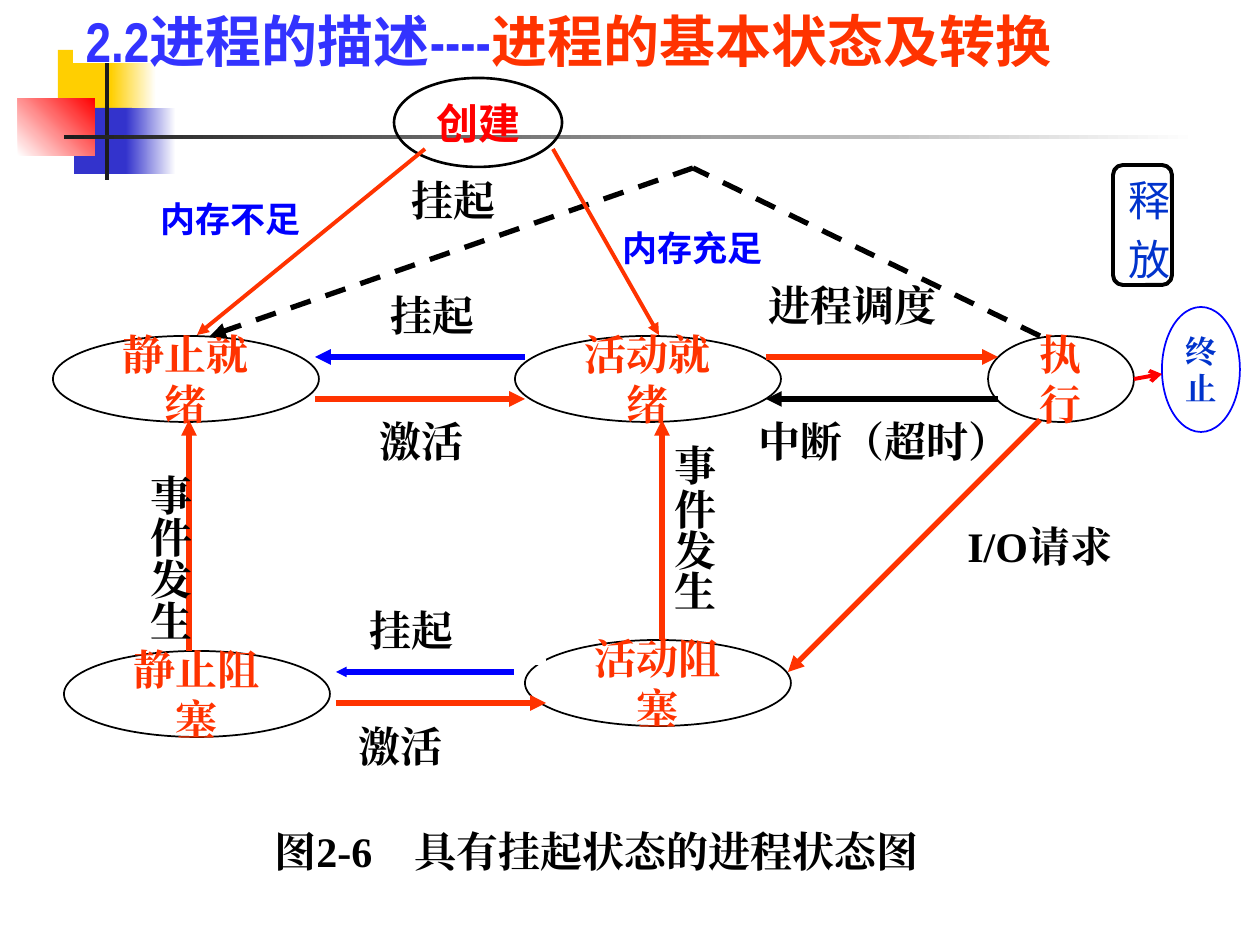
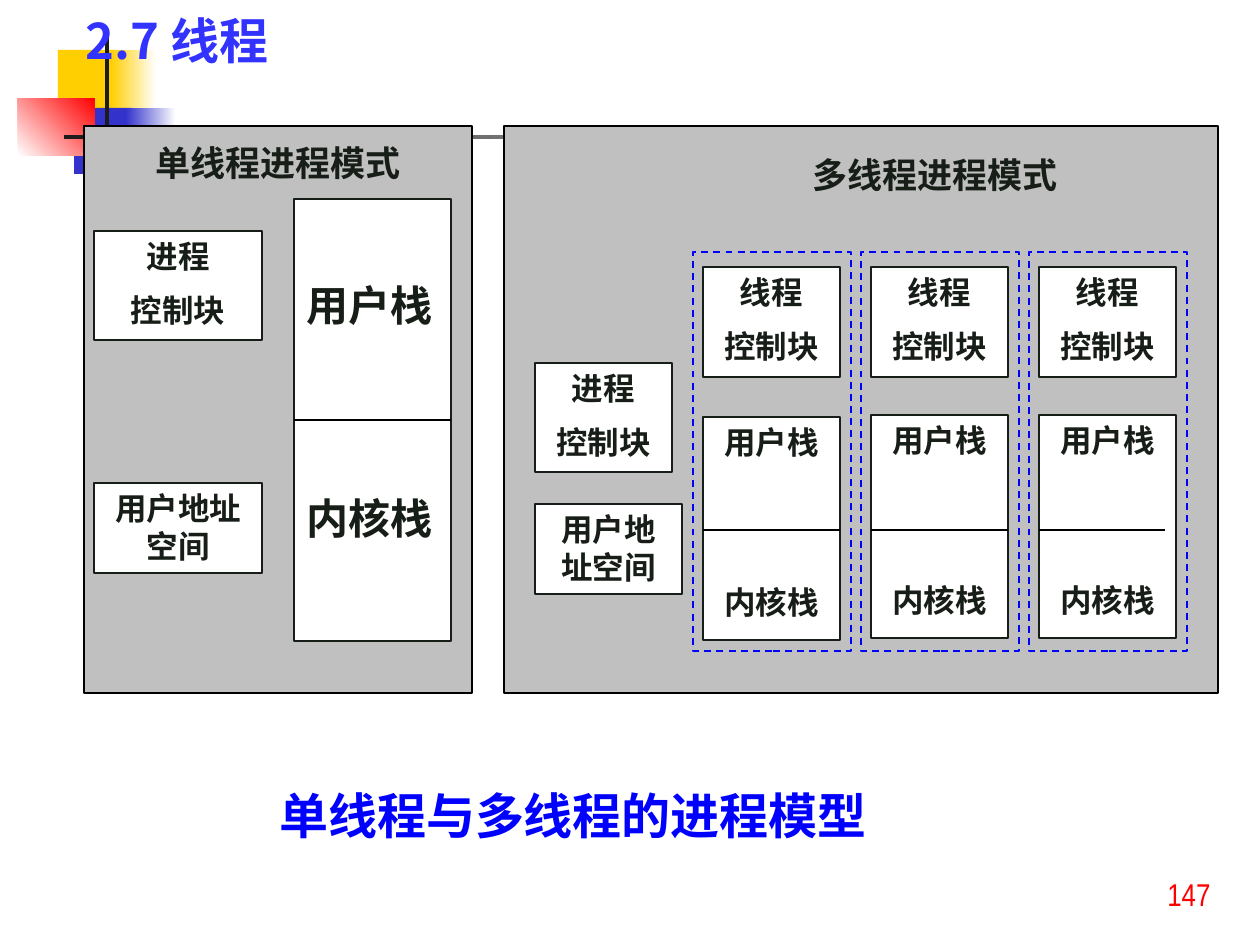
from dataclasses import dataclass

from lxml import etree
from pptx import Presentation
from pptx.dml.color import RGBColor
from pptx.enum.dml import MSO_LINE
from pptx.enum.shapes import MSO_CONNECTOR, MSO_SHAPE
from pptx.enum.text import MSO_ANCHOR, MSO_AUTO_SIZE, PP_ALIGN
from pptx.oxml.ns import qn
from pptx.util import Pt

RECT, OVAL, ROUND = MSO_SHAPE.RECTANGLE, MSO_SHAPE.OVAL, MSO_SHAPE.ROUNDED_RECTANGLE
STRAIGHT, DASH = MSO_CONNECTOR.STRAIGHT, MSO_LINE.DASH
TOP, MIDDLE = MSO_ANCHOR.TOP, MSO_ANCHOR.MIDDLE
LEFT, CENTER = PP_ALIGN.LEFT, PP_ALIGN.CENTER
NO_FIT = MSO_AUTO_SIZE.NONE
TITLE_ONLY = 5
PX = 914400 / 126  # EMU in one px


@dataclass(frozen=True)
class Theme:
    serif: str = "Times New Roman"
    narrow: str = "Arial Narrow"
    cjk: str = "Noto Sans CJK SC"

    white: str = "FFFFFF"
    black: str = "000000"
    ink: str = "171D17"
    rule: str = "1C1C1C"
    panel: str = "C0C0C0"
    yellow: str = "FFCF01"
    indigo: str = "3333CC"
    title: str = "3333FF"
    blue: str = "0000FF"
    navy: str = "0033CC"
    orange: str = "FF3300"
    red: str = "FF0000"

    title_size: int = 32
    heading_size: int = 28
    state_size: int = 24
    note_size: int = 20
    small_size: int = 18

    thin: float = 1
    outline: float = 1.5
    medium: float = 2.25
    thick: float = 3


def emu(*lengths):
    return [round(length * PX) for length in lengths]


def rgb(color):
    return RGBColor.from_string(color)


class Deck:
    def __init__(self, theme):
        self.theme = theme
        self.prs = Presentation()
        self.prs.slide_width, self.prs.slide_height = emu(1260, 945)
        self.slide = None

    def new_slide(self, box, title_parts, font, size, fill=None):
        """Start a slide; title_parts holds (text, colour) pairs."""
        self.slide = self.prs.slides.add_slide(self.prs.slide_layouts[TITLE_ONLY])
        self.corner_motif()
        title = self.slide.shapes.title
        title.left, title.top, title.width, title.height = emu(*box)
        if fill:
            title.fill.solid()
            title.fill.fore_color.rgb = rgb(fill)
        paragraph = title.text_frame.paragraphs[0]
        for text, _ in title_parts:
            paragraph.add_run().text = text
        self.format_text(title.text_frame, font, size, self.theme.title)
        for run, (_, color) in zip(paragraph.runs, title_parts):
            run.font.color.rgb = rgb(color)
        self.slide.shapes._spTree.append(title._element)  # above the motif

    def corner_motif(self):
        t = self.theme
        self.shape((58, 50, 60, 66), fill=t.yellow)
        self.gradient((111, 50, 45, 66), t.yellow, t.white)
        self.shape((74, 108, 58, 66), fill=t.indigo)
        self.gradient((126, 108, 50, 66), t.indigo, t.white)
        self.gradient((18, 98, 77, 58), t.white, t.red, angle=45)
        self.shape((105, 35, 4, 145), fill=t.rule)
        self.gradient((64, 135, 1134, 4), t.rule, t.white)

    def shape(self, box, kind=RECT, fill=None, line=None, width=1, dash=None):
        shape = self.slide.shapes.add_shape(kind, *emu(*box))
        shape.shadow.inherit = False
        if fill:
            shape.fill.solid()
            shape.fill.fore_color.rgb = rgb(fill)
        else:
            shape.fill.background()
        if line:
            shape.line.color.rgb = rgb(line)
            shape.line.width = Pt(width)
            if dash:
                shape.line.dash_style = dash
        else:
            shape.line.fill.background()
        return shape

    def gradient(self, box, start, end, angle=0):
        fill = self.shape(box).fill
        fill.gradient()
        fill.gradient_angle = angle
        for stop, color in zip(fill.gradient_stops, (start, end)):
            stop.color.rgb = rgb(color)

    def format_text(self, frame, font, size, color, bold=True, align=LEFT,
                    anchor=TOP, gap=0, wrap=True):
        frame.word_wrap = wrap
        frame.auto_size = NO_FIT
        frame.vertical_anchor = anchor
        for index, paragraph in enumerate(frame.paragraphs):
            paragraph.alignment = align
            paragraph.space_before = Pt(gap if index else 0)
            for run in paragraph.runs:
                run.font.size, run.font.bold = Pt(size), bold
                run.font.name = font
                run.font.color.rgb = rgb(color)
                latin = run._r.rPr.find(qn("a:latin"))
                east_asian = etree.Element(qn("a:ea"), typeface=font)
                latin.addnext(east_asian)

    def label(self, box, text, font=None, size=None, color=None, **options):
        t = self.theme
        frame = self.slide.shapes.add_textbox(*emu(*box)).text_frame
        frame.text = text
        self.format_text(frame, font or t.serif, size or t.state_size,
                         color or t.black, **options)
        return frame

    def state(self, box, text, color, font=None, size=None, fill="FFFFFF",
              line="000000", width=1):
        t = self.theme
        frame = self.shape(box, OVAL, fill, line, width).text_frame
        frame.text = text
        self.format_text(frame, font or t.serif, size or t.state_size, color,
                         align=CENTER, anchor=MIDDLE)

    def block(self, box, text, size=None, align=CENTER, gap=9):
        t = self.theme
        frame = self.shape(box, fill=t.white, line=t.ink).text_frame
        frame.text = text
        self.format_text(frame, t.narrow, size or t.small_size, t.ink,
                         align=align, gap=gap)
        return frame

    def line(self, start, end, color, width, head=None, head_size="med", dash=None):
        connector = self.slide.shapes.add_connector(STRAIGHT, *emu(*start, *end))
        connector.line.color.rgb = rgb(color)
        connector.line.width = Pt(width)
        if dash:
            connector.line.dash_style = dash
        if head:
            etree.SubElement(connector.line._get_or_add_ln(), qn("a:tailEnd"),
                             type=head, w=head_size, len=head_size)
        etree.SubElement(connector._element.spPr, qn("a:effectLst"))


def state_diagram(deck):
    t = deck.theme
    deck.new_slide((73, 0, 1071, 63),
                   [("2.2进程的描述----", t.title), ("进程的基本状态及转换", t.orange)],
                   t.narrow, t.title_size, fill=t.white)

    # Process states
    for text, x, y, width in (("静止就绪", 53, 336, 266), ("活动就绪", 515, 336, 266),
                              ("执行", 988, 336, 146), ("活动阻塞", 525, 640, 266),
                              ("静止阻塞", 64, 651, 266)):
        deck.state((x, y, width, 86), text, t.orange)

    # Transitions between the states
    for start, end, color in (
            ((315, 399), (525, 399), t.orange), ((525, 357), (315, 357), t.blue),
            ((766, 357), (998, 357), t.orange), ((998, 399), (766, 399), t.black),
            ((662, 640), (662, 420), t.orange), ((1040, 420), (788, 672), t.orange),
            ((336, 703), (546, 703), t.orange), ((546, 662), (305, 662), t.white),
            ((189, 651), (189, 420), t.orange)):
        deck.line(start, end, color, t.thick, "triangle")
    deck.line((514, 672), (336, 672), t.blue, t.thick, "triangle", "sm")

    # Suspension of the running process
    bend = (693, 168)
    deck.line((1040, 336), bend, t.black, t.thick, dash=DASH)
    deck.line(bend, (210, 336), t.black, t.thick, "triangle", dash=DASH)

    # Transition labels and caption
    for text, x, y, width in (
            ("进程调度", 756, 273, 220), ("挂起", 399, 168, 242), ("I/O请求", 955, 514, 252),
            ("挂起", 378, 283, 147), ("挂起", 357, 598, 168), ("激活", 346, 714, 210),
            ("激活", 367, 409, 116), ("中断（超时）", 746, 409, 284),
            ("图2-6　具有挂起状态的进程状态图", 262, 819, 735)):
        deck.label((x, y, width, 63), text)

    # Event labels set vertically
    active_event = deck.label((662, 449, 84, 181), "事\n件\n发\n生", gap=12)
    for index, paragraph in enumerate(active_event.paragraphs):
        paragraph.line_spacing = 0.4 if index else 0.65
    static_event = deck.label((126, 462, 76, 220), "事件发生")
    static_event._txBody.bodyPr.set("vert", "eaVert")

    # Creation
    deck.state((394, 78, 168, 89), "创建", t.red, t.narrow, fill=None, width=t.outline)
    deck.line((553, 149), (659, 335), t.orange, t.medium, "triangle")
    deck.line((425, 149), (197, 335), t.orange, t.medium, "triangle")
    for text, x, y, width in (("内存充足", 610, 220, 223), ("内存不足", 148, 191, 198)):
        deck.label((x, y, width, 55), text, t.narrow, t.note_size, t.blue)

    # Termination and release
    deck.state((1162, 307, 78, 125), "终止", t.navy, size=t.small_size, line=t.blue)
    deck.line((1134, 379), (1162, 374), t.red, t.medium, "arrow")
    release = deck.shape((1113, 165, 59, 120), ROUND, line=t.black, width=t.medium)
    release.text_frame.text = "释\n放"
    deck.format_text(release.text_frame, t.narrow, t.state_size, t.navy,
                     bold=False, gap=5)


def thread_models(deck):
    t = deck.theme
    deck.new_slide((73, 4, 716, 72), [("2.7 线程", t.title)], t.cjk, t.heading_size)
    deck.label((267, 779, 819, 72), "单线程与多线程的进程模型",
               t.cjk, t.heading_size, t.blue)

    # Panels and their headings
    for heading, x, width, heading_x, heading_y in (
            ("单线程进程模式", 84, 388, 142, 135), ("多线程进程模式", 504, 714, 799, 147)):
        deck.shape((x, 126, width, 567), fill=t.panel, line=t.black)
        deck.label((heading_x, heading_y, 272, 54), heading, t.narrow, t.note_size,
                   t.ink, align=CENTER, anchor=MIDDLE, wrap=False)

    # Single-threaded process
    deck.block((94, 231, 168, 109), "进程\n控制块")
    deck.block((94, 483, 168, 90), "用户地址空间")
    stacks = deck.block((294, 199, 157, 442), "用户栈\n内核栈", t.state_size, LEFT, gap=93)
    stacks.margin_top = emu(80)[0]
    deck.line((294, 420), (451, 420), t.black, t.thin)

    # Process shared by the threads
    deck.block((535, 363, 137, 109), "进程\n控制块")
    deck.block((535, 504, 147, 90), "用户地址空间")

    # One column for each thread
    for column, (stack_top, divider) in enumerate(((417, 137), (415, 137), (415, 126))):
        x = 703 + 168 * column
        deck.block((x, 267, 137, 110), "线程\n控制块")
        deck.block((x, stack_top, 137, 223), "用户栈\n内核栈", gap=70)
        deck.line((x, 530), (x + divider, 530), t.black, t.thin)
        deck.shape((x - 10, 252, 158, 399), line=t.blue, dash=DASH)

    # Page number
    deck.label((1155, 869, 80, 49), "147", t.narrow, t.small_size, t.red, bold=False)


def main():
    deck = Deck(Theme())
    state_diagram(deck)
    thread_models(deck)
    deck.prs.save("out.pptx")


if __name__ == "__main__":
    main()
